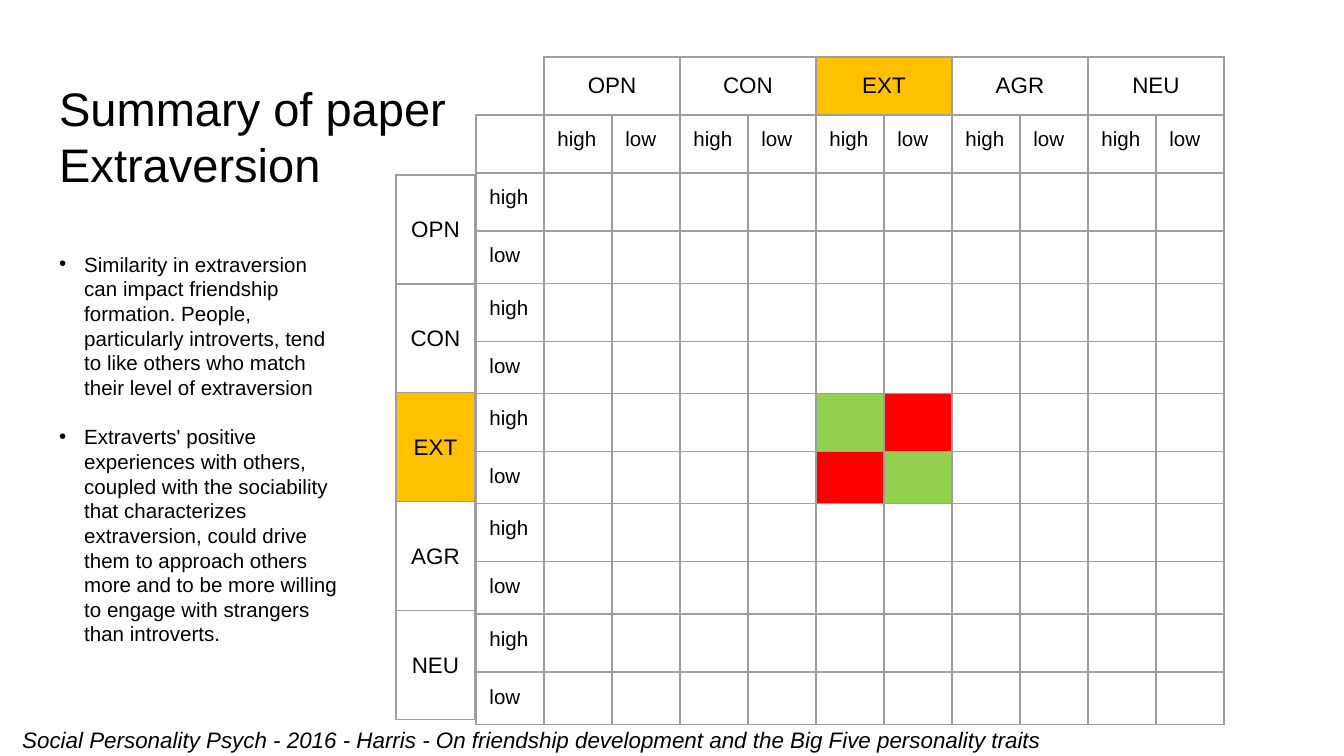
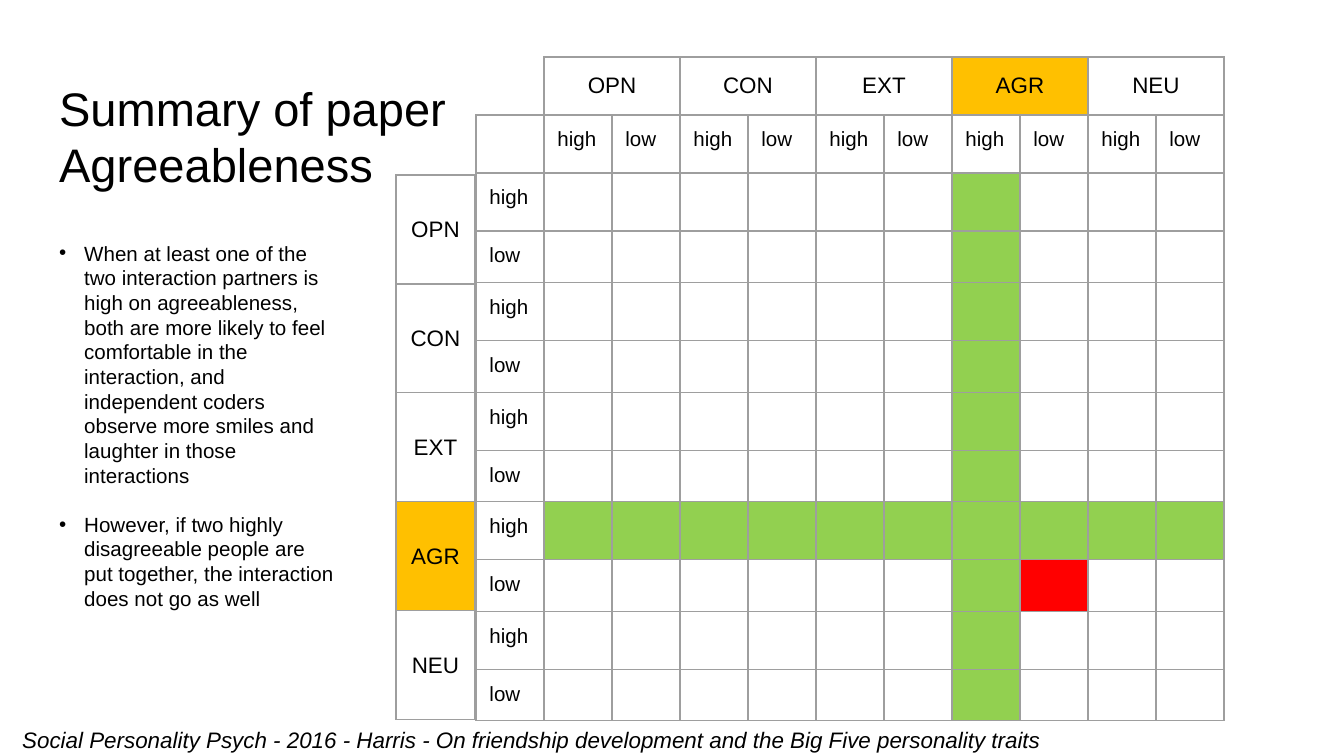
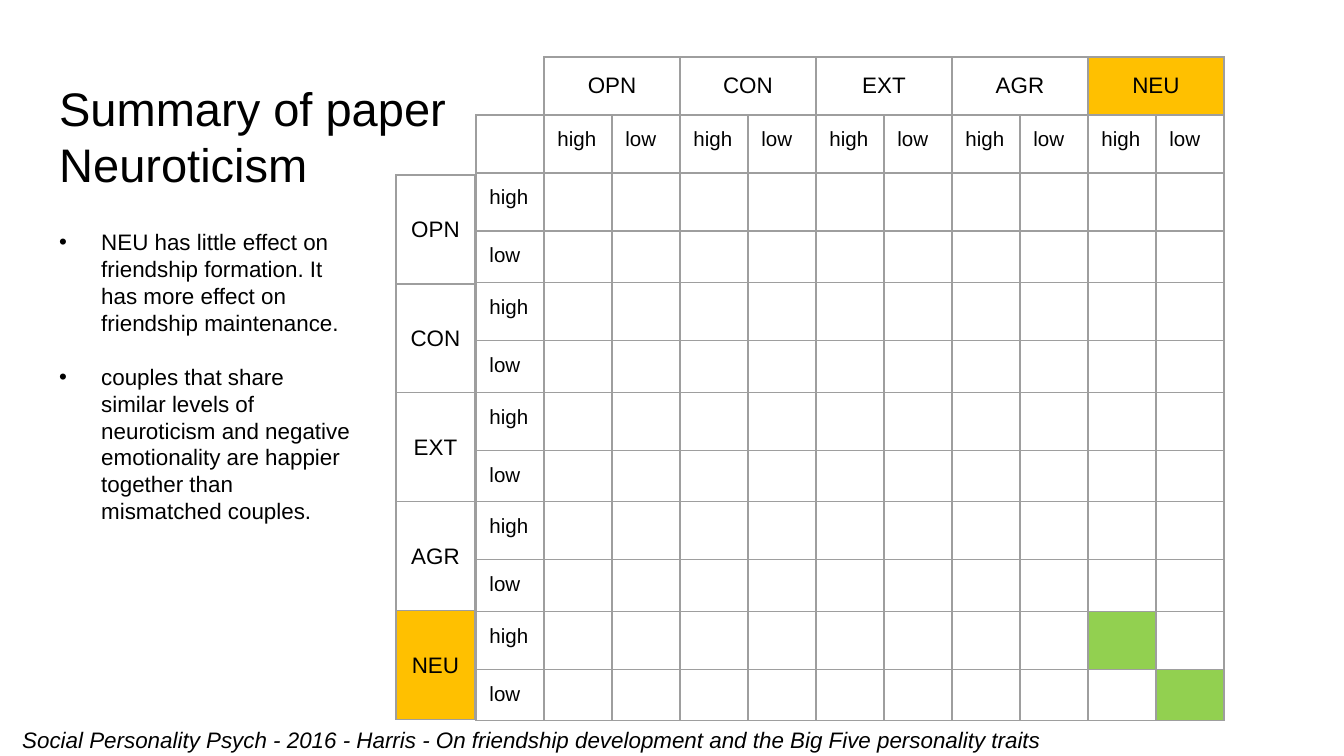
from lxml import etree
from pptx import Presentation
from pptx.dml.color import RGBColor
from pptx.enum.text import MSO_ANCHOR, PP_ALIGN
from pptx.oxml.ns import qn
from pptx.util import Emu, Pt

MIDDLE, TOP = MSO_ANCHOR.MIDDLE, MSO_ANCHOR.TOP
CENTER, LEFT = PP_ALIGN.CENTER, PP_ALIGN.LEFT
SCALE = 914400 / 134.4
FONT = "Arial"
BLACK, GREY, GOLD = "000000", "9E9E9E", "FFC000"
GREEN, RED = "92D050", "FF0000"

TRAITS = ["OPN", "CON", "EXT", "AGR", "NEU"]
LEVELS = ["high", "low"] * len(TRAITS)
SIDE = 68           # width of one level column
HIGH, LOW = 58, 38  # row heights; low rows grow to fit their text
SOURCE = ("Social Personality Psych - 2016 - Harris - On friendship "
          "development and the Big Five personality traits")


def px(n):
    """Turn pixels into EMU."""
    return Emu(round(n * SCALE))


def rgb(code):
    """Turn a hex string into a colour."""
    return RGBColor.from_string(code)


class Deck:
    """Holds the style and the current slide."""

    def __init__(self):
        """Start an empty deck."""
        self.prs = Presentation()
        self.prs.slide_width, self.prs.slide_height = px(1344), px(756)
        self.slide = None

    def add(self):
        """Start a blank slide."""
        self.slide = self.prs.slides.add_slide(self.prs.slide_layouts[6])

    def style(self, para, size, italic=False):
        """Format all runs of a paragraph."""
        for run in para.runs:
            font = run.font
            font.name, font.size, font.italic = FONT, Pt(size), italic
            font.color.rgb = rgb(BLACK)

    def box(self, text, area, size, lead=None, italic=False):
        """Add a wrapped text box and return its frame."""
        frame = self.slide.shapes.add_textbox(*map(px, area)).text_frame
        frame.word_wrap = True
        frame.text = text
        for para in frame.paragraphs:
            self.style(para, size, italic)
            if lead:
                para.line_spacing = Pt(lead)
        return frame

    def title(self, trait):
        """Add the two-line slide title."""
        frame = self.box("Summary of paper\v" + trait, (46, 66, 1253, 85),
                         25.2, 30.3)
        frame.margin_top = px(13)

    def points(self, items, top, width, height, size, indent):
        """Add bullets set one line apart."""
        lead = 1.2 * size
        frame = self.box("\n".join(items), (46, top, width, height),
                         size, lead)
        for n, para in enumerate(frame.paragraphs):
            para.space_before = Pt(lead if n else 0)
            props = para._p.get_or_add_pPr()
            props.set("marL", str(px(indent)))
            props.set("indent", str(-px(indent)))
            font = etree.SubElement(props, qn("a:buFont"))
            font.set("typeface", FONT)
            etree.SubElement(props, qn("a:buChar")).set("char", "•")

    def edge(self, cell):
        """Draw a thin grey border around a cell."""
        props = cell._tc.get_or_add_tcPr()
        for side in ("a:lnL", "a:lnR", "a:lnT", "a:lnB"):
            line = etree.SubElement(props, qn(side), w=str(Pt(0.75)))
            fill = etree.SubElement(line, qn("a:solidFill"))
            etree.SubElement(fill, qn("a:srgbClr"), val=GREY)

    def table(self, left, top, cols, rows, texts, marks, size,
              align=LEFT, anchor=TOP):
        """Add a bordered table; marks maps (row, column) to a fill."""
        frame = self.slide.shapes.add_table(
            len(rows), len(cols), px(left), px(top),
            px(sum(cols)), px(sum(rows)))
        table = frame.table
        table.first_row = table.horz_banding = False
        for col, width in zip(table.columns, cols):
            col.width = px(width)
        for row, height in zip(table.rows, rows):
            row.height = px(height)
        for r in range(len(rows)):
            for c in range(len(cols)):
                cell = table.cell(r, c)
                cell.margin_left = cell.margin_right = Emu(91440)
                cell.margin_top = cell.margin_bottom = Emu(91440)
                cell.vertical_anchor = anchor
                self.edge(cell)
                if (r, c) in marks:
                    cell.fill.solid()
                    cell.fill.fore_color.rgb = rgb(marks[r, c])
                else:
                    cell.fill.background()
                para = cell.text_frame.paragraphs[0]
                para.alignment = align
                if (r, c) in texts:
                    para.text = texts[r, c]
                    self.style(para, size)
                else:
                    etree.SubElement(para._p, qn("a:endParaRPr"),
                                     sz=str(size * 100))

    def matrix(self, trait, marks):
        """Add the level grid and both trait headers."""
        texts = {(0, n): level for n, level in enumerate(LEVELS, 1)}
        texts |= {(n, 0): level for n, level in enumerate(LEVELS, 1)}
        count, pick = len(TRAITS), TRAITS.index(trait)
        self.table(476, 115, [SIDE] * (2 * count + 1),
                   [HIGH] + [HIGH, LOW] * count, texts, marks, 11)
        self.table(396, 175, [79], [109] * count,
                   {(n, 0): name for n, name in enumerate(TRAITS)},
                   {(pick, 0): GOLD}, 12, CENTER, MIDDLE)
        self.table(476 + SIDE, 57, [2 * SIDE] * count, [HIGH],
                   {(0, n): name for n, name in enumerate(TRAITS)},
                   {(0, pick): GOLD}, 12, CENTER, MIDDLE)

    def footer(self):
        """Add the source line."""
        self.box(SOURCE, (9, 720, 1067, 40), 12, italic=True)

    def page(self, name, trait, marks, items, top, width, height,
             size=11, indent=25):
        """Build one whole summary slide."""
        self.add()
        self.matrix(trait, marks)
        self.title(name)
        self.points(items, top, width, height, size, indent)
        self.footer()


deck = Deck()
deck.page(
    "Extraversion", "EXT",
    {(5, 5): GREEN, (5, 6): RED, (6, 5): RED, (6, 6): GREEN},
    ["Similarity in extraversion can impact friendship formation. People, "
     "particularly introverts, tend to like others who match their level "
     "of extraversion",
     "Extraverts' positive experiences with others, coupled with the "
     "sociability that characterizes extraversion, could drive them to "
     "approach others more and to be more willing to engage with strangers "
     "than introverts."],
    245, 306, 411)

cross = {(7, n): GREEN for n in range(1, 11)}
cross |= {(n, 7): GREEN for n in range(1, 11)}
deck.page(
    "Agreeableness", "AGR", cross | {(8, 8): RED},
    ["When at least one of the two interaction partners is high on "
     "agreeableness, both are more likely to feel comfortable in the "
     "interaction, and independent coders observe more smiles and laughter "
     "in those interactions",
     "However, if two highly disagreeable people are put together, the "
     "interaction does not go as well"],
    234, 302, 411)

deck.page(
    "Neuroticism", "NEU", {(9, 9): GREEN, (10, 10): GREEN},
    ["NEU has little effect on friendship formation. It has more effect on "
     "friendship maintenance.",
     "couples that share similar levels of neuroticism and negative "
     "emotionality are happier together than mismatched couples."],
    222, 319, 312, size=12, indent=42)

deck.prs.save("out.pptx")
